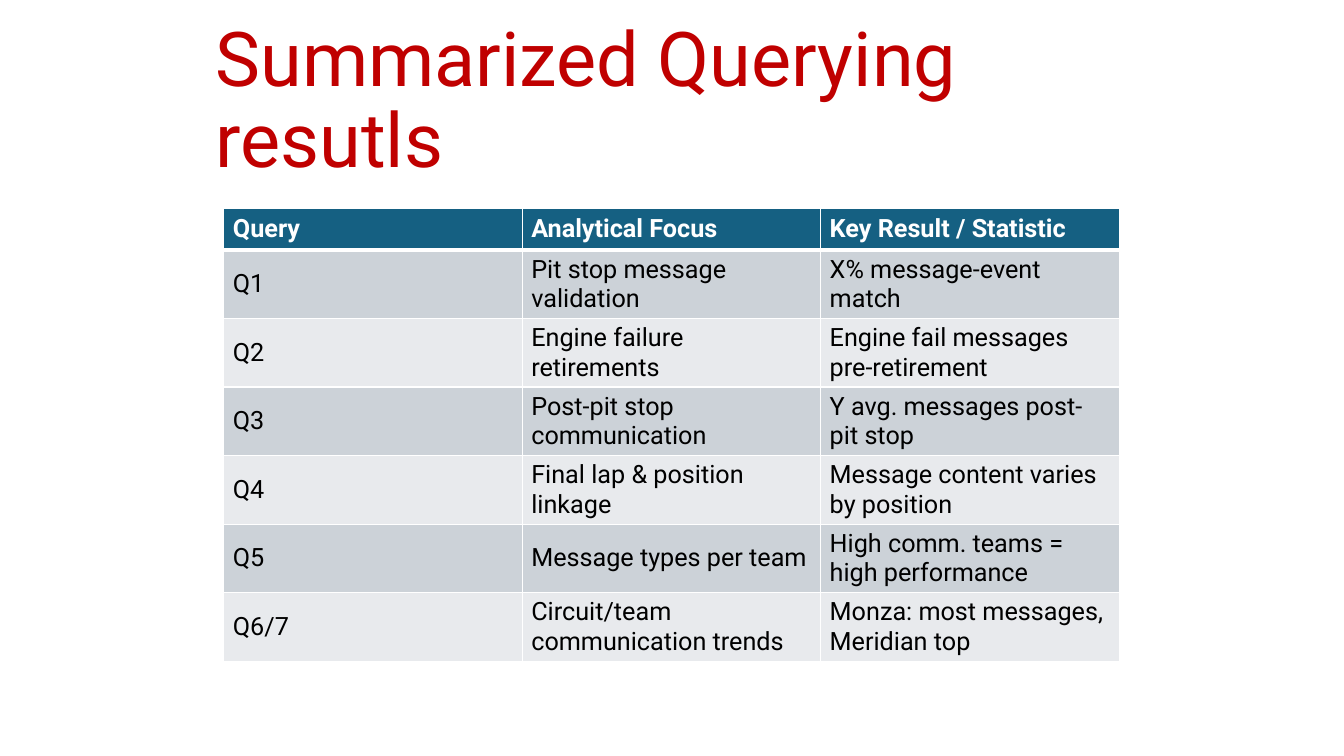
from lxml.etree import SubElement
from pptx import Presentation
from pptx.dml.color import RGBColor
from pptx.enum.text import MSO_ANCHOR as Anchor
from pptx.oxml.ns import qn
from pptx.util import Inches, Pt

WHITE = RGBColor(0xFF, 0xFF, 0xFF)
BLACK = RGBColor(0x00, 0x00, 0x00)
RED = RGBColor(0xC0, 0x00, 0x00)
TEAL = RGBColor(0x15, 0x60, 0x82)
BAND_DARK = RGBColor(0xCC, 0xD2, 0xD8)
BAND_LIGHT = RGBColor(0xE8, 0xEA, 0xED)

ROWS = [
    ("Query", "Analytical Focus", "Key Result / Statistic"),
    ("Q1", "Pit stop message validation", "X% message-event match"),
    ("Q2", "Engine failure retirements", "Engine fail messages pre-retirement"),
    ("Q3", "Post-pit stop communication", "Y avg. messages post-pit stop"),
    ("Q4", "Final lap & position linkage", "Message content varies by position"),
    ("Q5", "Message types per team", "High comm. teams = high performance"),
    ("Q6/7", "Circuit/team communication trends", "Monza: most messages, Meridian top"),
]


def write_text(paragraph, text, color, **formats):
    run = paragraph.add_run()
    run.text = text
    run.font.color.rgb = color
    for name, value in {"name": "Roboto", **formats}.items():
        setattr(run.font, name, value)


def add_borders(cell, widths):
    properties = cell._tc.get_or_add_tcPr()
    for side, width in widths.items():
        line = SubElement(properties, qn(f"a:ln{side}"), w=str(Pt(width)))
        fill = SubElement(line, qn("a:solidFill"))
        SubElement(fill, qn("a:srgbClr"), val=str(WHITE))


presentation = Presentation()
presentation.slide_width = Inches(13.33)
presentation.slide_height = Inches(7.5)
slide = presentation.slides.add_slide(presentation.slide_layouts[6])

# Title
title = slide.shapes.add_textbox(Inches(2.04), Inches(0.29), Inches(9.25), Inches(1.45))
title_frame = title.text_frame
title_frame.word_wrap = True
title_frame.vertical_anchor = Anchor.MIDDLE
title_paragraph = title_frame.paragraphs[0]
title_paragraph.line_spacing = 0.9
write_text(title_paragraph, "Summarized Querying resutls", RED, size=Pt(54))

# Query table
table = slide.shapes.add_table(
    len(ROWS), len(ROWS[0]), Inches(2.22), Inches(2.07), Inches(8.88), Inches(4.43)
).table
for column in table.columns:
    column.width = Inches(2.96)

cell_format = {
    "vertical_anchor": Anchor.MIDDLE,
    "margin_left": Inches(0.09),
    "margin_right": Inches(0.09),
    "margin_top": Inches(0.04),
    "margin_bottom": Inches(0.04),
}
for row_index, texts in enumerate(ROWS):
    is_header = row_index == 0
    table.rows[row_index].height = Inches(0.41 if is_header else 0.67)
    band = TEAL if is_header else BAND_DARK if row_index % 2 else BAND_LIGHT
    widths = {
        "L": 1,
        "R": 1,
        "T": 3 if row_index == 1 else 1,
        "B": 3 if is_header else 1,
    }
    for column_index, text in enumerate(texts):
        cell = table.cell(row_index, column_index)
        for name, value in cell_format.items():
            setattr(cell, name, value)
        add_borders(cell, widths)
        cell.fill.solid()
        cell.fill.fore_color.rgb = band
        write_text(
            cell.text_frame.paragraphs[0],
            text,
            WHITE if is_header else BLACK,
            size=Pt(18),
            bold=is_header,
        )

presentation.save("out.pptx")
